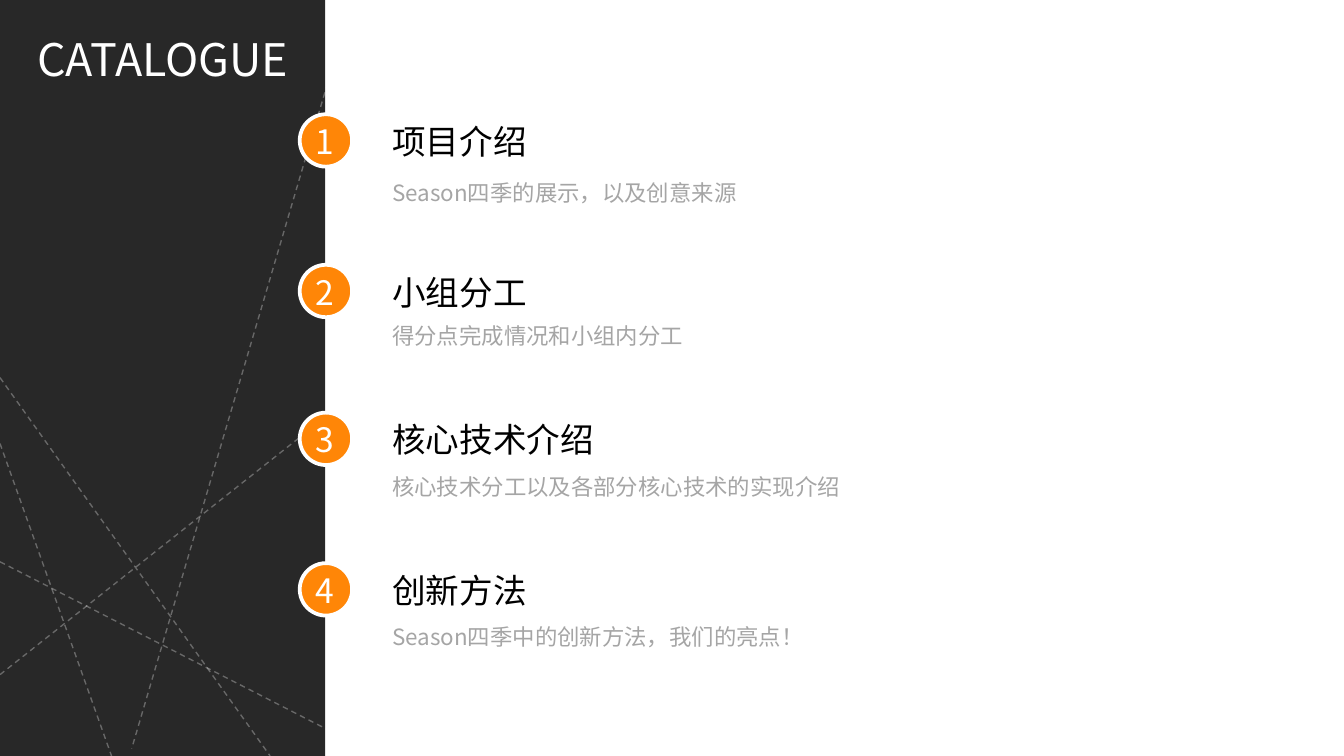
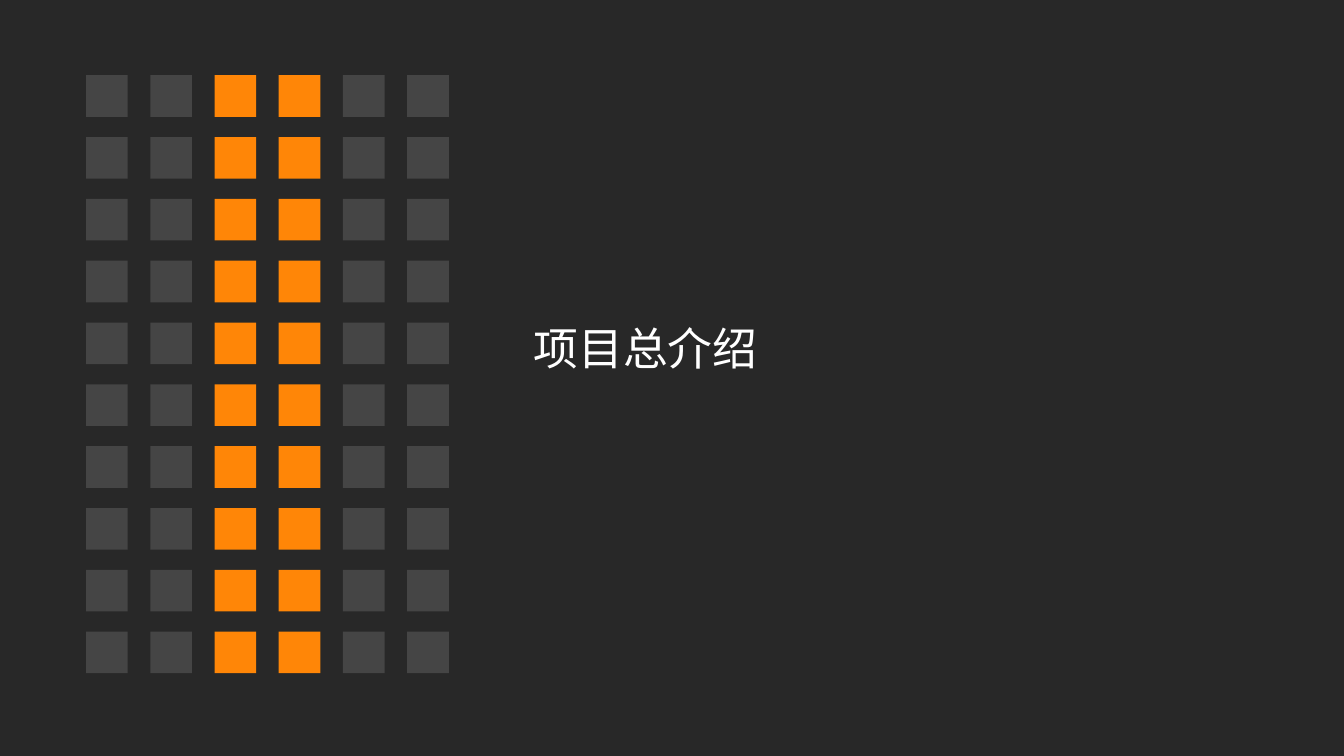
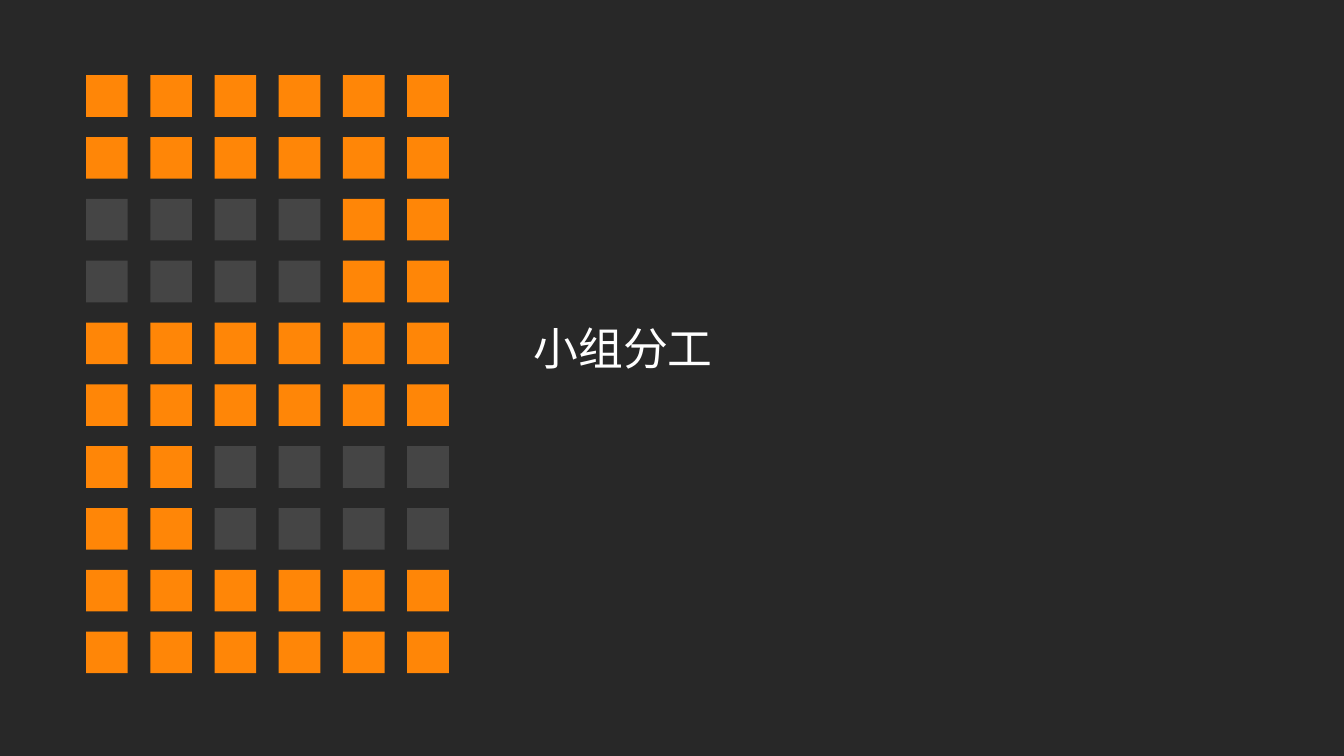
import lxml.etree
import pptx
import pptx.dml.color
import pptx.enum.dml
import pptx.enum.shapes
import pptx.enum.text
import pptx.oxml.ns
import pptx.util

Inches = pptx.util.Inches
Pt = pptx.util.Pt
Align = pptx.enum.text.PP_ALIGN
Shape = pptx.enum.shapes.MSO_SHAPE
qn = pptx.oxml.ns.qn

HUES = {
    "dark": "282828",
    "dim": "454545",
    "glow": "FF8607",
    "white": "FFFFFF",
    "black": "000000",
    "note": "A5A5A5",
}
TONES = {name: pptx.dml.color.RGBColor.from_string(hue) for name, hue in HUES.items()}
FONT = "Noto Sans CJK SC"
WIDE = 10
HIGH = WIDE * 9 / 16


def block(slide, kind, box, hue):
    shape = slide.shapes.add_shape(kind, *map(Inches, box))
    shape.shadow.inherit = False
    shape.fill.solid()
    shape.fill.fore_color.rgb = TONES[hue]
    shape.line.fill.background()
    return shape


def write(shape, words, size, hue, align=Align.LEFT, wrap=True):
    """Fill a shape with one line of text, centred on its height."""
    frame = shape.text_frame
    frame.text = words
    look = {
        "word_wrap": wrap,
        "auto_size": pptx.enum.text.MSO_AUTO_SIZE.NONE,
        "vertical_anchor": pptx.enum.text.MSO_ANCHOR.MIDDLE,
        "margin_left": Inches(0.1),
        "margin_right": Inches(0.1),
        "margin_top": Inches(0.05),
        "margin_bottom": Inches(0.05),
    }
    for key, value in look.items():
        setattr(frame, key, value)
    line = frame.paragraphs[0]
    line.alignment = align
    run = line.runs[0]
    for key, value in {"name": FONT, "size": Pt(size), "bold": False}.items():
        setattr(run.font, key, value)
    run.font.color.rgb = TONES[hue]
    # East Asian glyphs take their typeface from a separate element
    lxml.etree.SubElement(run.font._element, qn("a:ea"), typeface=FONT)


deck = pptx.Presentation()
deck.slide_width, deck.slide_height = Inches(WIDE), Inches(HIGH)
plain = deck.slide_layouts[5]

# Contents: dark side band with dashed rays
slide = deck.slides.add_slide(plain)
block(slide, Shape.RECTANGLE, (0, 0, 2.42, HIGH), "dark")

rays = [
    (0, 4.18, 2.82, HIGH),
    (0, 5.02, 5.47, 0.69),
    (0, 3.3, 0.83, HIGH),
    (2.62, 0, 0.98, 5.57),
    (0, 2.81, 2.01, HIGH),
]
for ends in rays:
    ray = slide.shapes.add_connector(
        pptx.enum.shapes.MSO_CONNECTOR.STRAIGHT, *map(Inches, ends)
    )
    ray.line.color.rgb = TONES["white"]
    ray.line.width = Pt(0.75)
    ray.line.dash_style = pptx.enum.dml.MSO_LINE.DASH
    tint = ray.element.spPr.find(".//" + qn("a:srgbClr"))
    lxml.etree.SubElement(tint, qn("a:alpha"), val="29000")
    lxml.etree.SubElement(ray.element.spPr, qn("a:effectLst"))

title = slide.shapes.title
title.left, title.top, title.width, title.height = map(Inches, (0.13, 0.18, 2.16, 0.51))
write(title, "CATALOGUE", 24, "white", Align.CENTER, wrap=False)
slide.shapes.element.append(title.element)

parts = [
    (0.85, "项目介绍", 1.28, "Season四季的展示，以及创意来源"),
    (1.97, "小组分工", 2.35, "得分点完成情况和小组内分工"),
    (3.07, "核心技术介绍", 3.47, "核心技术分工以及各部分核心技术的实现介绍"),
    (4.19, "创新方法", 4.59, "Season四季中的创新方法，我们的亮点！"),
]
for count, (top, head, low, note) in enumerate(parts, 1):
    badge = block(slide, Shape.OVAL, (2.23, top, 0.39, 0.39), "glow")
    badge.line.color.rgb = TONES["white"]
    badge.line.width = Pt(2)
    for box, words, size, hue in [
        ((2.25, top, 0.35, 0.4), str(count), 18, "white"),
        ((2.82, top, 6.15, 0.4), head, 18, "black"),
        ((2.82, low, 6.15, 0.3), note, 12, "note"),
    ]:
        label = slide.shapes.add_textbox(*map(Inches, box))
        write(label, words, size, hue, wrap=hue != "white")

# Section openers: squares marked # are lit
openers = [
    ("项目总介绍", ["..##.."] * 10),
    ("小组分工", [
        row
        for row in ("######", "....##", "######", "##....", "######")
        for _ in range(2)
    ]),
]
side, left, right, top, base = 0.31, 0.64, 3.03, 0.56, 4.7
for words, grid in openers:
    slide = deck.slides.add_slide(plain)
    block(slide, Shape.RECTANGLE, (0, 0, WIDE, HIGH), "dark")
    for row, marks in enumerate(grid):
        for col, mark in enumerate(marks):
            x = left + col * (right - left) / (len(marks) - 1)
            y = top + row * (base - top) / (len(grid) - 1)
            hue = "glow" if mark == "#" else "dim"
            block(slide, Shape.RECTANGLE, (x, y, side, side), hue)
    title = slide.shapes.title
    title.left, title.top, title.width, title.height = map(Inches, (3.87, 2.33, 6.15, 0.51))
    write(title, words, 24, "white")
    slide.shapes.element.append(title.element)

deck.save("out.pptx")
